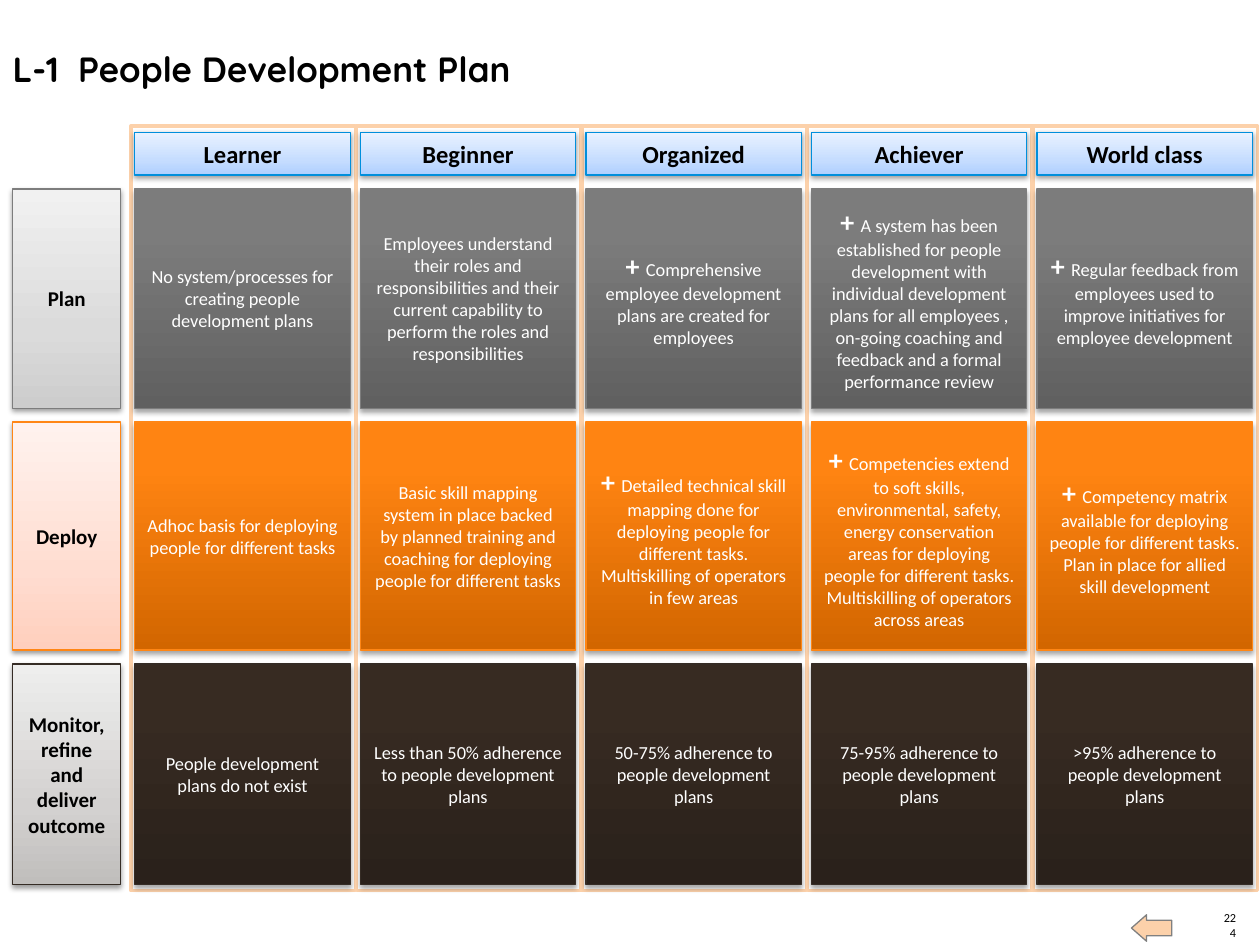
import copy

import pptx
import pptx.dml.color
import pptx.enum.shapes
import pptx.enum.text
import pptx.oxml
import pptx.oxml.ns
import pptx.util
from pptx.util import Inches

SHAPE = pptx.enum.shapes.MSO_SHAPE
ALIGN = pptx.enum.text.PP_ALIGN
ANCHOR = pptx.enum.text.MSO_ANCHOR

PITCH = 1.79
FRAME_W = 1.78
CELL_W = 1.71
CELL_PAD = 0.03
LIGHT = {"positions": (0, 0.35, 1), "shadow": (38, 1.6)}
DARK = {"positions": (0, 0.8, 1), "shadow": (35, 1.8)}
LABEL_FONT = {"size": 12, "bold": True, "color": "000000"}
HEAD_FONT = {"size": 14, "bold": True, "color": "000000"}
CELL_FONT = {"size": 10.5, "bold": False, "color": "FFFFFF"}
PLUS_FONT = {"size": 16, "bold": True, "color": "FFFFFF"}
HEAD_COLORS = ("AECFFF", "C6DDFF", "E9F2FF")

LEVELS = ["Learner", "Beginner", "Organized", "Achiever", "World class"]
STAGES = [
    {
        "name": "Plan", "top": 1.5, "height": 1.74, "line": "7D7D7D",
        "label": ("CDCDCD", "DBDBDB", "F1F1F1"),
        "cell": ("606060", "7C7C7C", "7D7D7D"),
        "texts": [
            "No system/processes for creating people development plans",
            "Employees understand their roles and responsibilities and their current "
            "capability to perform the roles and responsibilities",
            "+ Comprehensive employee development plans are created for employees",
            "+ A system has been established for people development with individual "
            "development plans for all employees , on-going coaching and feedback "
            "and a formal performance review",
            "+ Regular feedback from employees used to improve initiatives for "
            "employee development",
        ],
    },
    {
        "name": "Deploy", "top": 3.35, "height": 1.81, "line": "FF8615",
        "label": ("FFCFBD", "FFDDD1", "FFF2EE"),
        "cell": ("D26600", "FF8412", "FF8514"),
        "texts": [
            "Adhoc basis for deploying people for different tasks",
            "Basic skill mapping system in place backed by planned training and "
            "coaching for deploying people for different tasks",
            "+ Detailed technical skill mapping done for deploying people for "
            "different tasks. Multiskilling of operators in few areas",
            "+ Competencies extend to soft skills, environmental, safety, energy "
            "conservation areas for deploying people for different tasks. "
            "Multiskilling of operators across areas",
            "+ Competency matrix available for deploying people for different tasks. "
            "Plan in place for allied skill development",
        ],
    },
    {
        "name": "Monitor, refine and deliver outcome",
        "top": 5.27, "height": 1.75, "line": "352C25",
        "label": ("C0BEBC", "D3D1D0", "EEEEED"),
        "cell": ("2A211B", "372B22", "372B22"),
        "texts": [
            "People development plans do not exist",
            "Less than 50% adherence to people development plans",
            "50-75% adherence to people development plans",
            "75-95% adherence to people development plans",
            ">95% adherence to people development plans",
        ],
    },
]


def rgb(value):
    return pptx.dml.color.RGBColor.from_string(value)


def add_run(p, text, font, name="Calibri"):
    r = p.add_run()
    r.text = text
    values = {"name": name, "size": pptx.util.Pt(font["size"]), "bold": font["bold"]}
    for key, value in values.items():
        setattr(r.font, key, value)
    r.font.color.rgb = rgb(font["color"])


def add_block(slide, kind, box, line, width, fill=None):
    s = slide.shapes.add_shape(kind, *map(Inches, box))
    s.shadow.inherit = False
    s.line.color.rgb = rgb(line)
    s.line.width = pptx.util.Pt(width)
    if fill:
        s.fill.solid()
        s.fill.fore_color.rgb = rgb(fill)
    return s


def set_gradient(s, colors, positions):
    """Fill from bottom to top with three colours."""
    s.fill.gradient()
    s.fill.gradient_angle = 90
    first = s._element.spPr.find(".//" + pptx.oxml.ns.qn("a:gs"))
    first.addnext(copy.deepcopy(first))
    for stop, color, position in zip(s.fill.gradient_stops, colors, positions):
        stop.color.rgb = rgb(color)
        stop.position = position


def set_shadow(s, opacity, distance):
    effects = s._element.spPr.find(pptx.oxml.ns.qn("a:effectLst"))
    effects.append(pptx.oxml.parse_xml(
        f'<a:outerShdw {pptx.oxml.ns.nsdecls("a")} blurRad="{pptx.util.Pt(3.1)}" '
        f'dist="{pptx.util.Pt(distance)}" dir="5400000" rotWithShape="0">'
        f'<a:srgbClr val="000000"><a:alpha val="{opacity * 1000}"/></a:srgbClr>'
        '</a:outerShdw>'))


def add_card(slide, box, text, font, colors, line, style):
    s = add_block(slide, SHAPE.RECTANGLE, box, line, 0.75)
    set_gradient(s, colors, style["positions"])
    set_shadow(s, *style["shadow"])
    tf = s.text_frame
    tf.word_wrap = True
    tf.vertical_anchor = ANCHOR.MIDDLE
    p = tf.paragraphs[0]
    p.alignment = ALIGN.CENTER
    if text.startswith("+ "):
        add_run(p, "+ ", PLUS_FONT)
        text = text[2:]
    add_run(p, text, font)


def add_title(slide, box):
    s = slide.shapes.title
    s.left, s.top, s.width, s.height = map(Inches, box)
    tf = s.text_frame
    tf.word_wrap = True
    tf.vertical_anchor = ANCHOR.TOP
    p = tf.paragraphs[0]
    p.alignment = ALIGN.LEFT
    p._p.get_or_add_pPr().append(pptx.oxml.parse_xml(
        f'<a:tabLst {pptx.oxml.ns.nsdecls("a")}>'
        f'<a:tab pos="{Inches(0.52)}" algn="l"/></a:tabLst>'))
    add_run(p, "L-1\tPeople Development Plan",
            {"size": 20, "bold": True, "color": "000000"}, "Quicksand")


def add_stage_labels(slide, left, width):
    for stage in STAGES:
        box = (left, stage["top"], width, stage["height"])
        add_card(slide, box, stage["name"], LABEL_FONT, stage["label"], stage["line"], LIGHT)


def add_level_column(slide, box, index):
    left, top, _, _ = box
    add_block(slide, SHAPE.RECTANGLE, box, "FCD1AA", 2, "FFFFFF")
    x = left + CELL_PAD
    for stage in STAGES:
        cell = (x, stage["top"], CELL_W, stage["height"])
        add_card(slide, cell, stage["texts"][index], CELL_FONT, stage["cell"],
                 stage["line"], DARK)
    add_card(slide, (x, top + 0.05, CELL_W, 0.34), LEVELS[index], HEAD_FONT,
             HEAD_COLORS, "008FDC", LIGHT)


def add_footer(slide, left, top):
    arrow = add_block(slide, SHAPE.RIGHT_ARROW, (left, top, 0.32, 0.21),
                      "808080", 0.75, "FCD1AA")
    arrow.rotation = 180
    arrow.adjustments[0], arrow.adjustments[1] = 0.59, 0.57
    s = slide.shapes.add_textbox(*map(Inches, (left + 0.71, top + 0.08, 0.12, 0.12)))
    tf = s.text_frame
    tf.word_wrap = True
    tf.vertical_anchor = ANCHOR.BOTTOM
    for side in ("left", "top", "right", "bottom"):
        setattr(tf, f"margin_{side}", 0)
    p = tf.paragraphs[0]
    p.alignment = ALIGN.RIGHT
    add_run(p, "224", {"size": 7, "bold": False, "color": "000000"})


def main():
    prs = pptx.Presentation()
    prs.slide_width, prs.slide_height = Inches(10), Inches(7.5)
    slide = prs.slides.add_slide(prs.slide_layouts[5])
    add_title(slide, (0, 0.33, 8.6, 0.44))
    add_stage_labels(slide, 0.1, 0.86)
    for i in range(len(LEVELS)):
        add_level_column(slide, (1.04 + i * PITCH, 1, FRAME_W, 6.07), i)
    add_footer(slide, 8.98, 7.26)
    prs.save("out.pptx")


if __name__ == "__main__":
    main()
